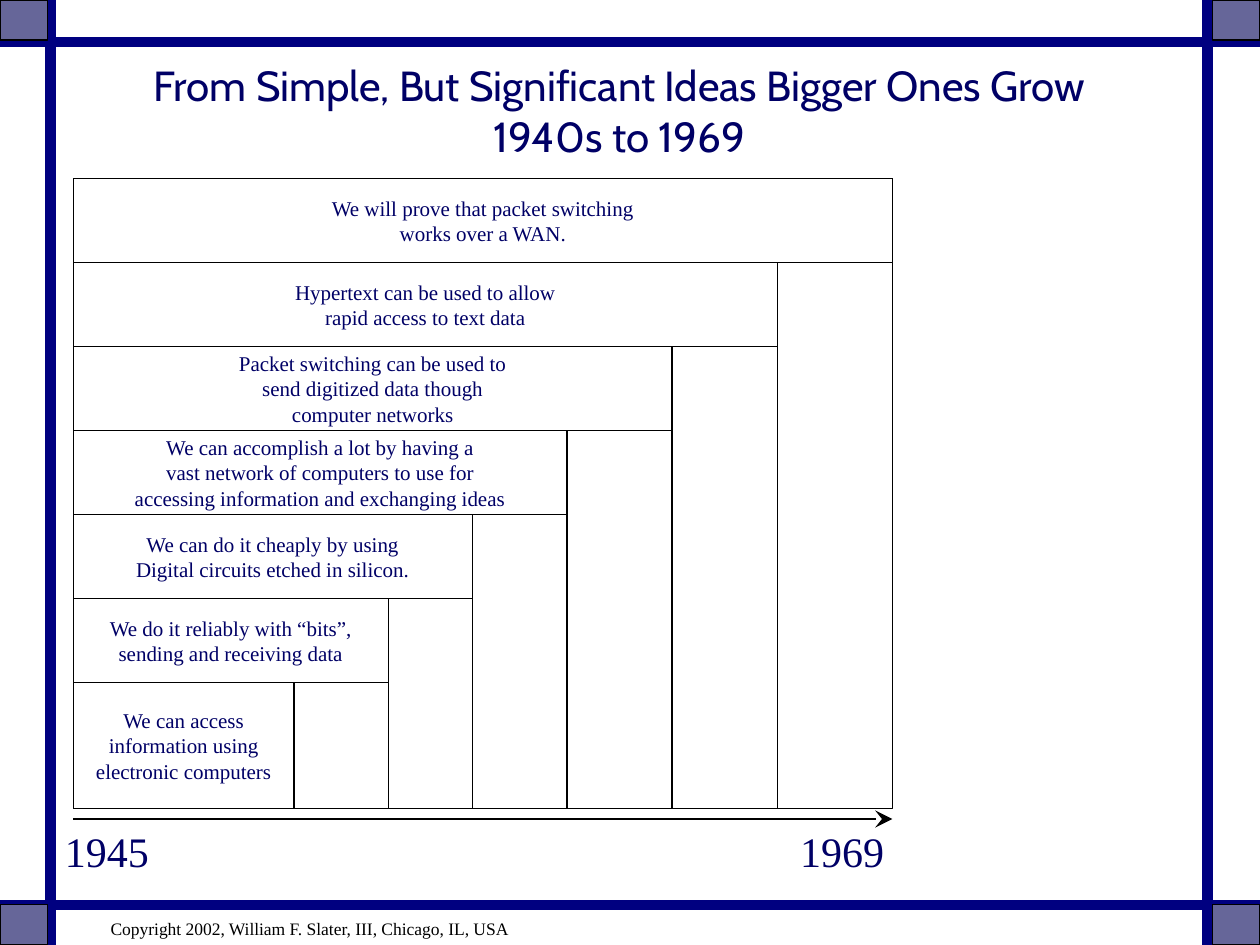
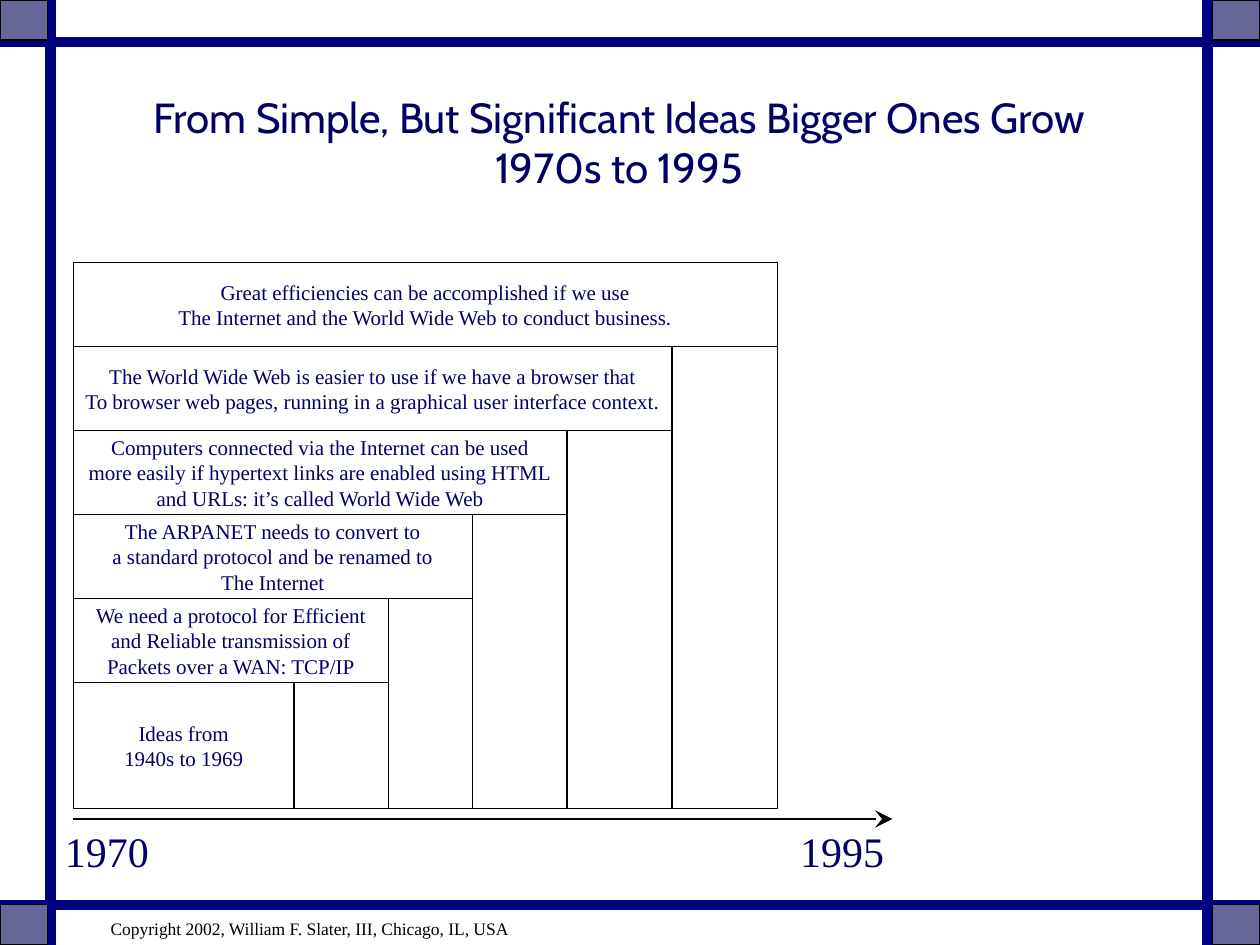
from dataclasses import dataclass
from itertools import product
from typing import Any

from lxml.etree import SubElement
from pptx import Presentation
from pptx.dml.color import RGBColor
from pptx.enum.shapes import MSO_CONNECTOR, MSO_SHAPE
from pptx.enum.text import MSO_ANCHOR as Anchor, MSO_AUTO_SIZE as AutoSize, PP_ALIGN as Align
from pptx.oxml.ns import qn
from pptx.util import Cm, Pt

NAVY = RGBColor(0x00, 0x00, 0x80)
INK = RGBColor(0x00, 0x00, 0x66)
SLATE = RGBColor(0x66, 0x66, 0x99)
BLACK = RGBColor(0x00, 0x00, 0x00)
WHITE = RGBColor(0xFF, 0xFF, 0xFF)

SERIF = "Times New Roman"
TITLE_FORMAT = {"name": "Cabin", "size": Pt(24)}
YEAR_FORMAT = {"name": SERIF, "size": Pt(24)}
IDEA_FORMAT = {"name": SERIF, "size": Pt(12)}
COPYRIGHT_FORMAT = {"name": SERIF, "size": Pt(10)}

# All lengths below are centimetres
SLIDE_W, SLIDE_H = 25.4, 19.05
CORNER_W, CORNER_H = 0.96, 0.81
BAR_XS = (1.02, 24.34)
BAR_YS = (0.85, 18.24)

STAIR_LEFT, STAIR_BOTTOM = 1.48, 16.3
BASE_TOP, HIGHEST_TOP = 13.76, 3.6
TIER_WIDTHS = (4.45, 6.35, 8.04, 9.95, 12.07, 14.19, 16.51)
TIER_H = (BASE_TOP - HIGHEST_TOP) / (len(TIER_WIDTHS) - 1)
TIMELINE_Y = 16.51
YEAR_LEFTS = (1.06, 15.88)

COPYRIGHT = "Copyright 2002, William F. Slater, III, Chicago, IL, USA"


@dataclass(frozen=True)
class Box:
    left: float
    top: float
    width: float
    height: float

    def lengths(self) -> tuple[Cm, ...]:
        return tuple(Cm(v) for v in (self.left, self.top, self.width, self.height))


@dataclass(frozen=True)
class Era:
    title: str
    title_top: float
    years: tuple[str, str]
    ideas: tuple[str, ...]  # from the foundation upwards


ERAS = (
    Era(
        "From Simple, But Significant Ideas Bigger Ones Grow\v1940s to 1969",
        1.48,
        ("1945", "1969"),
        (
            "We can access\ninformation using\nelectronic computers",
            "We do it reliably with “bits”,\nsending and receiving data",
            "We can do it cheaply by using\nDigital circuits etched in silicon.",
            "We can accomplish a lot by having a\nvast network of computers to use for\n"
            "accessing information and exchanging ideas",
            "Packet switching can be used to\nsend digitized data though\ncomputer networks",
            "Hypertext can be used to allow\nrapid access to text data",
            "We will prove that packet switching\nworks over a WAN.",
        ),
    ),
    Era(
        "From Simple, But Significant Ideas Bigger Ones Grow\v1970s to 1995",
        2.12,
        ("1970", "1995"),
        (
            "Ideas from\n1940s to 1969",
            "We need a protocol for Efficient\nand Reliable transmission of\n"
            "Packets over a WAN: TCP/IP",
            "The ARPANET needs to convert to\na standard protocol and be renamed to\n"
            "The Internet",
            "Computers connected via the Internet can be used\n"
            "more easily if hypertext links are enabled using HTML\n"
            "and URLs: it’s called World Wide Web",
            "The World Wide Web is easier to use if we have a browser that\n"
            "To browser web pages, running in a graphical user interface context.",
            "Great efficiencies can be accomplished if we use\n"
            "The Internet and the World Wide Web to conduct business.",
        ),
    ),
)


def write(shape: Any, text: str, font_format: dict[str, Any], color: RGBColor = INK,
          align: Align = Align.LEFT, anchor: Anchor = Anchor.TOP, wrap: bool = False) -> None:
    frame = shape.text_frame
    frame.text = text
    frame.word_wrap = wrap
    frame.vertical_anchor = anchor
    for paragraph in frame.paragraphs:
        paragraph.alignment = align
        for attribute, value in font_format.items():
            setattr(paragraph.font, attribute, value)
        paragraph.font.color.rgb = color


def add_text(slide: Any, box: Box, text: str, font_format: dict[str, Any], **style: Any) -> Any:
    textbox = slide.shapes.add_textbox(*box.lengths())
    write(textbox, text, font_format, **style)
    return textbox


def add_label(slide: Any, box: Box, text: str, font_format: dict[str, Any], **style: Any) -> None:
    """Add a one-line text whose box grows with it instead of wrapping."""
    label = add_text(slide, box, text, font_format, **style)
    label.text_frame.auto_size = AutoSize.SHAPE_TO_FIT_TEXT


def add_rect(slide: Any, box: Box, fill: RGBColor = WHITE) -> Any:
    rect = slide.shapes.add_shape(MSO_SHAPE.RECTANGLE, *box.lengths())
    rect.shadow.inherit = False
    rect.fill.solid()
    rect.fill.fore_color.rgb = fill
    rect.line.color.rgb = BLACK
    rect.line.width = Pt(0.75)
    return rect


def add_line(slide: Any, x1: float, y1: float, x2: float, y2: float,
             color: RGBColor, width: float) -> Any:
    line = slide.shapes.add_connector(MSO_CONNECTOR.STRAIGHT, Cm(x1), Cm(y1), Cm(x2), Cm(y2))
    line.line.color.rgb = color
    line.line.width = Pt(width)
    SubElement(line._element.spPr, qn("a:effectLst"))
    return line


def draw_frame(slide: Any) -> None:
    for y in BAR_YS:
        add_line(slide, 0, y, SLIDE_W, y, NAVY, 6)
    for x in BAR_XS:
        add_line(slide, x, SLIDE_H, x, 0, NAVY, 6)
    for left, top in product((0, SLIDE_W - CORNER_W), (0, SLIDE_H - CORNER_H)):
        add_rect(slide, Box(left, top, CORNER_W, CORNER_H), SLATE)
    add_label(slide, Box(1.98, 18.38, 8.6, 0.69), COPYRIGHT, COPYRIGHT_FORMAT, color=BLACK)


def draw_staircase(slide: Any, ideas: tuple[str, ...]) -> None:
    # Highest tier first, so that each lower one covers part of its column
    for level in reversed(range(len(ideas))):
        width = TIER_WIDTHS[level]
        top = BASE_TOP - level * TIER_H
        column_height = STAIR_BOTTOM - top
        if level:
            add_rect(slide, Box(STAIR_LEFT, top, width, column_height))
        tier_height = TIER_H if level else column_height
        tier = add_rect(slide, Box(STAIR_LEFT, top, width, tier_height))
        write(tier, ideas[level], IDEA_FORMAT, align=Align.CENTER, anchor=Anchor.MIDDLE)


def draw_timeline(slide: Any, years: tuple[str, str]) -> None:
    arrow = add_line(slide, STAIR_LEFT, TIMELINE_Y, STAIR_LEFT + TIER_WIDTHS[-1], TIMELINE_Y,
                     BLACK, 0.75)
    SubElement(arrow.line._get_or_add_ln(), qn("a:tailEnd"), type="stealth", w="lg", len="lg")
    for left, year in zip(YEAR_LEFTS, years):
        add_label(slide, Box(left, TIMELINE_Y, 2.22, 1.27), year, YEAR_FORMAT)


def main() -> None:
    deck = Presentation()
    deck.slide_width, deck.slide_height = Cm(SLIDE_W), Cm(SLIDE_H)
    for era in ERAS:
        slide = deck.slides.add_slide(deck.slide_layouts[6])
        draw_frame(slide)
        add_text(slide, Box(1.69, era.title_top, 21.59, 1.48), era.title, TITLE_FORMAT,
                 align=Align.CENTER, anchor=Anchor.MIDDLE, wrap=True)
        draw_staircase(slide, era.ideas)
        draw_timeline(slide, era.years)
    deck.save("out.pptx")


if __name__ == "__main__":
    main()
